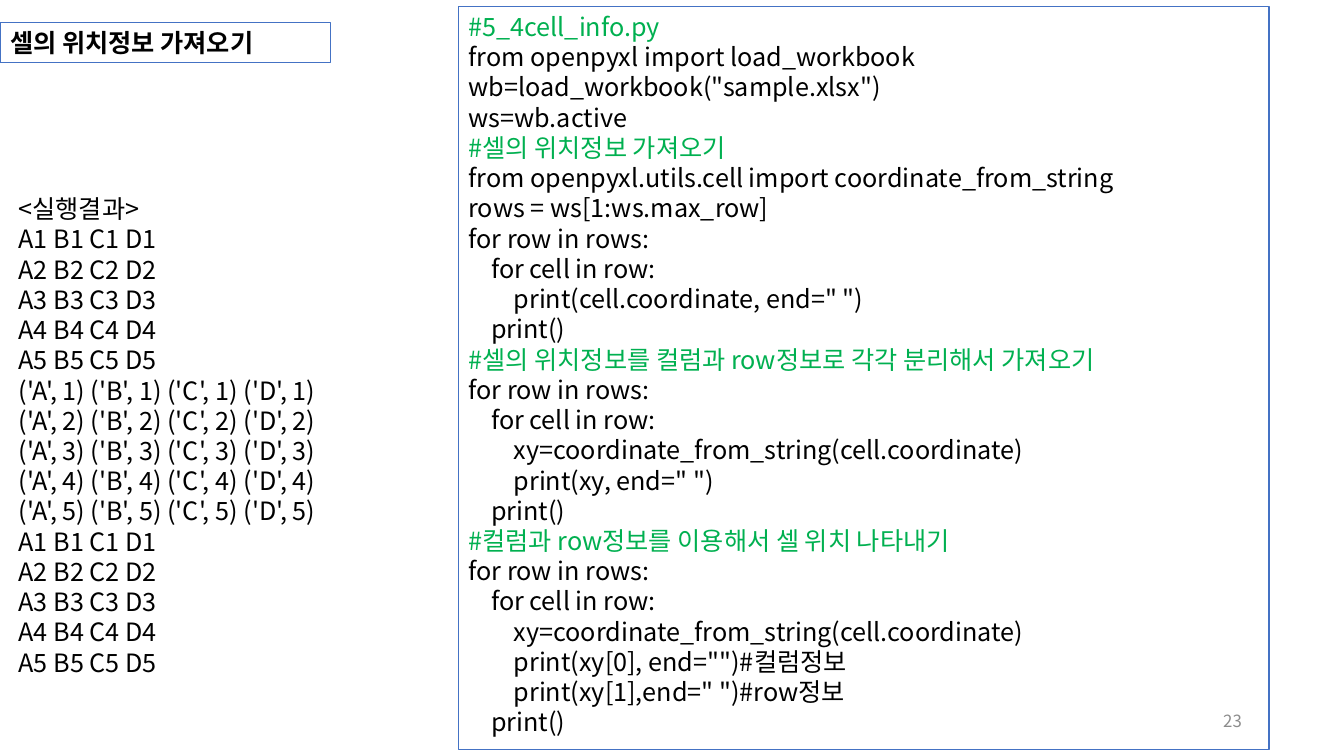
"""Build the slide on reading cell positions with openpyxl."""
import pptx
import pptx.util
import pptx.dml.color
import pptx.enum.text
import pptx.enum.shapes
import pptx.oxml.ns
import lxml.etree

Pt = pptx.util.Pt
ALIGN = pptx.enum.text.PP_ALIGN
ANCHOR = pptx.enum.text.MSO_ANCHOR
FONT = "Noto Sans CJK KR"
BLACK, GREEN, BLUE, GRAY = "000000", "00B050", "4472C4", "8C8C8C"

TITLE = "셀의 위치정보 가져오기"
CODE = """#5_4cell_info.py
from openpyxl import load_workbook
wb=load_workbook("sample.xlsx")
ws=wb.active
#셀의 위치정보 가져오기
from openpyxl.utils.cell import coordinate_from_string
rows = ws[1:ws.max_row]
for row in rows:
    for cell in row:
        print(cell.coordinate, end=" ")
    print()
#셀의 위치정보를 컬럼과 row정보로 각각 분리해서 가져오기
for row in rows:
    for cell in row:
        xy=coordinate_from_string(cell.coordinate)
        print(xy, end=" ")
    print()
#컬럼과 row정보를 이용해서 셀 위치 나타내기
for row in rows:
    for cell in row:
        xy=coordinate_from_string(cell.coordinate)
        print(xy[0], end="")#컬럼정보
        print(xy[1],end=" ")#row정보
    print()""".split("\n")
HEAD = "<실행결과>"
COLS, ROWS = "ABCD", range(1, 6)
PAGE = "23"

names = [" ".join(f"{col}{row}" for col in COLS) for row in ROWS]
pairs = [" ".join(f"('{col}', {row})" for col in COLS) for row in ROWS]
RESULT = [HEAD, *names, *pairs, *names]


def paint(hue):
    """Turn a hex string into a colour."""
    return pptx.dml.color.RGBColor.from_string(hue)


def place(shape, left, top, width, height):
    """Set the place and size of a shape in points."""
    shape.left, shape.top = Pt(left), Pt(top)
    shape.width, shape.height = Pt(width), Pt(height)


def frame(shape):
    """Give a shape a thin blue outline and no fill."""
    shape.fill.background()
    shape.line.color.rgb = paint(BLUE)
    shape.line.width = Pt(0.75)


def write(shape, lines, size=18, hue=BLACK, bold=False,
          align=ALIGN.LEFT, anchor=ANCHOR.TOP):
    """Fill a shape with one paragraph per line."""
    text = shape.text_frame
    text.word_wrap = True
    text.auto_size = pptx.enum.text.MSO_AUTO_SIZE.NONE
    text.vertical_anchor = anchor
    text.text = "\n".join(lines)
    for para in text.paragraphs:
        para.alignment = align
        para.line_spacing = Pt(size * 1.2)
        para.space_before = para.space_after = Pt(0)
        font = para.font
        font.size, font.bold, font.name = Pt(size), bold, FONT
        font.color.rgb = paint(GREEN if para.text.startswith("#") else hue)
        props = para._p.pPr.find(pptx.oxml.ns.qn("a:defRPr"))
        lxml.etree.SubElement(
            props, pptx.oxml.ns.qn("a:ea")).set("typeface", FONT)


def main():
    """Make the slide and save it."""
    deck = pptx.Presentation()
    deck.slide_width, deck.slide_height = Pt(960), Pt(540)
    slide = deck.slides.add_slide(deck.slide_layouts[5])
    shapes = slide.shapes

    title = shapes.title
    place(title, 0, 15.84, 236.16, 28.8)
    frame(title)
    write(title, [TITLE], bold=True)

    code = shapes.add_shape(pptx.enum.shapes.MSO_SHAPE.RECTANGLE, 0, 0, 0, 0)
    code.shadow.inherit = False
    place(code, 327.6, 4.5, 578.9, 530.6)
    frame(code)
    write(code, CODE)

    result = shapes.add_textbox(0, 0, 0, 0)
    place(result, 6.2, 134.6, 283, 356.4)
    write(result, RESULT)

    page = shapes.add_textbox(0, 0, 0, 0)
    place(page, 678.2, 500.4, 216, 28.8)
    write(page, [PAGE], 12, GRAY, align=ALIGN.RIGHT, anchor=ANCHOR.MIDDLE)

    deck.save("out.pptx")


if __name__ == "__main__":
    main()
